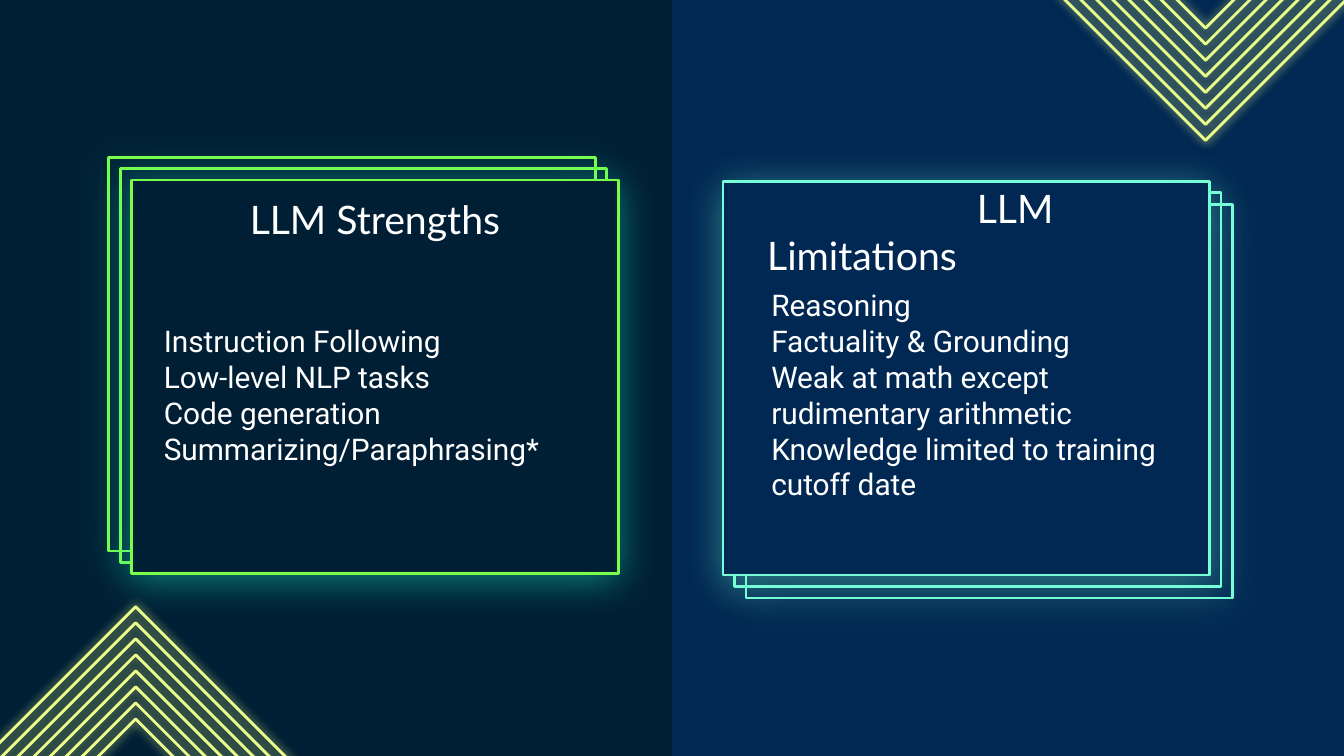
from lxml.etree import SubElement
from pptx import Presentation
from pptx.dml.color import RGBColor
from pptx.enum.shapes import MSO_SHAPE as Shape
from pptx.enum.text import MSO_ANCHOR as Anchor, PP_ALIGN as Align
from pptx.oxml.ns import qn
from pptx.util import Inches, Pt

THEME = {
    "navy": "001F35", "blue": "012853", "yellow": "ECFF8C", "green": "77FF4A",
    "aqua": "75FFD7", "teal": "1FFFCE", "white": "FFFFFF",
    "title_font": "Lato", "title_size": 21,
    "body_font": "Roboto", "body_size": 16, "line_width": 1.5,
}
SLIDE_WIDTH = 10
SLIDE_HEIGHT = SLIDE_WIDTH * 9 / 16
CARD_SIZE = (3.62, 2.93)
CARD_COUNT = 3
CARD_SPREAD = 0.17

# Glow: opacity and blur, distance and direction of the shadow
CARD_GLOW = {"opacity": 38, "blur": 21.4, "distance": 3, "direction": 90}
DIAMOND_GLOW = {"opacity": 90, "blur": 5.6, "distance": 0, "direction": 0}

DIAMOND_CENTERS = [(8.97, -0.82), (1.01, 6.38)]
DIAMOND_COUNT, LARGEST_DIAMOND, SMALLEST_DIAMOND = 8, 3.73, 2.06

# "back" is the corner of the rearmost card, "spread" leads to the front one
PANELS = [
    {
        "title": "LLM Limitations", "title_box": (5.61, 1.57, 3.18, 0.3),
        "align": Align.LEFT, "indent": 1.56,
        "items": ["Reasoning", "Factuality & Grounding",
                  "Weak at math except rudimentary arithmetic",
                  "Knowledge limited to training cutoff date"],
        "body_box": (5.64, 2.01, 3.18, 1.85),
        "back": (5.55, 1.52), "spread": -CARD_SPREAD,
        "fill": "blue", "line": "aqua", "glow": "aqua",
    },
    {
        "title": "LLM Strengths", "title_box": (1.2, 1.48, 3.18, 0.3),
        "align": Align.CENTER, "indent": 0,
        "items": ["Instruction Following", "Low-level NLP tasks",
                  "Code generation", "Summarizing/Paraphrasing*"],
        "body_box": (1.12, 1.93, 3.18, 2.01),
        "back": (0.81, 1.17), "spread": CARD_SPREAD,
        "fill": "navy", "line": "green", "glow": "teal",
    },
]


def color(name):
    return RGBColor.from_string(THEME[name])


def add_glow(shape, name, opacity, blur, distance, direction):
    """Put a soft coloured shadow into the shape's empty effect list."""
    effects = shape._element.spPr.find(qn("a:effectLst"))
    shadow = SubElement(effects, qn("a:outerShdw"), {
        "blurRad": str(Pt(blur)), "dist": str(Pt(distance)),
        "dir": str(direction * 60000), "algn": "bl", "rotWithShape": "0"})
    tint = SubElement(shadow, qn("a:srgbClr"), val=THEME[name])
    SubElement(tint, qn("a:alpha"), val=str(opacity * 1000))


def add_outline(slide, kind, box, fill=None, line=None):
    shape = slide.shapes.add_shape(kind, *map(Inches, box))
    shape.shadow.inherit = False
    if fill:
        shape.fill.solid()
        shape.fill.fore_color.rgb = color(fill)
    else:
        shape.fill.background()
    if line:
        shape.line.color.rgb = color(line)
        shape.line.width = Pt(THEME["line_width"])
    else:
        shape.line.fill.background()
    return shape


def add_text(slide, box, lines, role, align=Align.LEFT, indent=0):
    """Write one paragraph per line; indent moves only its first row."""
    frame = slide.shapes.add_textbox(*map(Inches, box)).text_frame
    frame.word_wrap = True
    frame.vertical_anchor = Anchor.MIDDLE
    frame.margin_left = frame.margin_right = Inches(0.1)
    frame.margin_top = frame.margin_bottom = Inches(0.1)
    for number, line in enumerate(lines):
        paragraph = frame.add_paragraph() if number else frame.paragraphs[0]
        paragraph.alignment = align
        if indent:
            properties = paragraph._p.get_or_add_pPr()
            properties.set("marL", "0")
            properties.set("indent", str(Inches(indent)))
        run = paragraph.add_run()
        run.text = line
        run.font.name = THEME[role + "_font"]
        run.font.size = Pt(THEME[role + "_size"])
        run.font.color.rgb = color("white")


def add_diamonds(slide, center_x, center_y):
    step = (LARGEST_DIAMOND - SMALLEST_DIAMOND) / (DIAMOND_COUNT - 1)
    for number in range(DIAMOND_COUNT):
        size = LARGEST_DIAMOND - number * step
        box = (center_x - size / 2, center_y - size / 2, size, size)
        diamond = add_outline(slide, Shape.DIAMOND, box, line="yellow")
        add_glow(diamond, "yellow", **DIAMOND_GLOW)


def add_panel(slide, panel):
    left, top = panel["back"]
    for number in range(CARD_COUNT):
        shift = panel["spread"] * number / (CARD_COUNT - 1)
        is_front = number == CARD_COUNT - 1
        card = add_outline(slide, Shape.RECTANGLE,
                           (left + shift, top + shift, *CARD_SIZE),
                           panel["fill"] if is_front else None, panel["line"])
        add_glow(card, panel["glow"], **CARD_GLOW)
    add_text(slide, panel["title_box"], [panel["title"]], "title",
             panel["align"], panel["indent"])
    add_text(slide, panel["body_box"], panel["items"], "body")


def main():
    presentation = Presentation()
    presentation.slide_width = Inches(SLIDE_WIDTH)
    presentation.slide_height = Inches(SLIDE_HEIGHT)
    slide = presentation.slides.add_slide(presentation.slide_layouts[6])
    slide.background.fill.solid()
    slide.background.fill.fore_color.rgb = color("navy")

    half = SLIDE_WIDTH / 2
    add_outline(slide, Shape.RECTANGLE, (half, 0, half, SLIDE_HEIGHT), "blue")
    for center in DIAMOND_CENTERS:
        add_diamonds(slide, *center)
    for panel in PANELS:
        add_panel(slide, panel)
    presentation.save("out.pptx")


if __name__ == "__main__":
    main()
